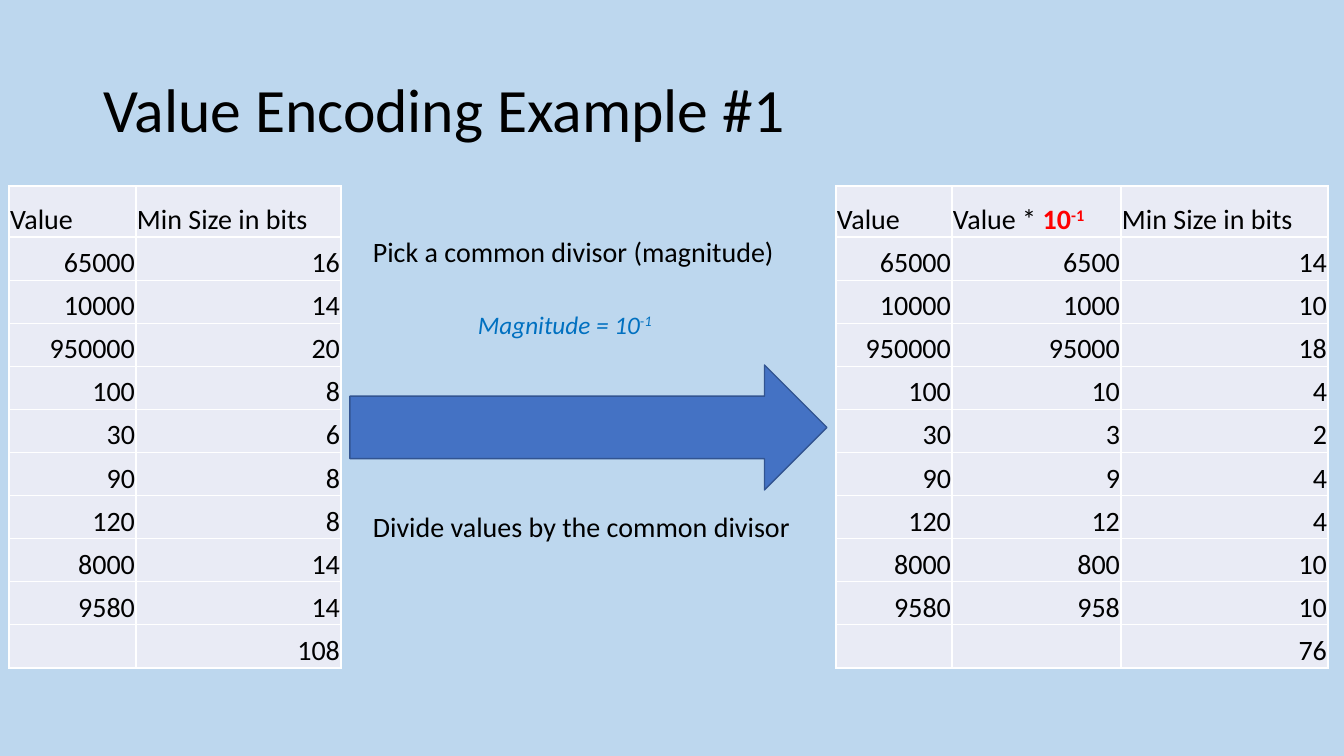
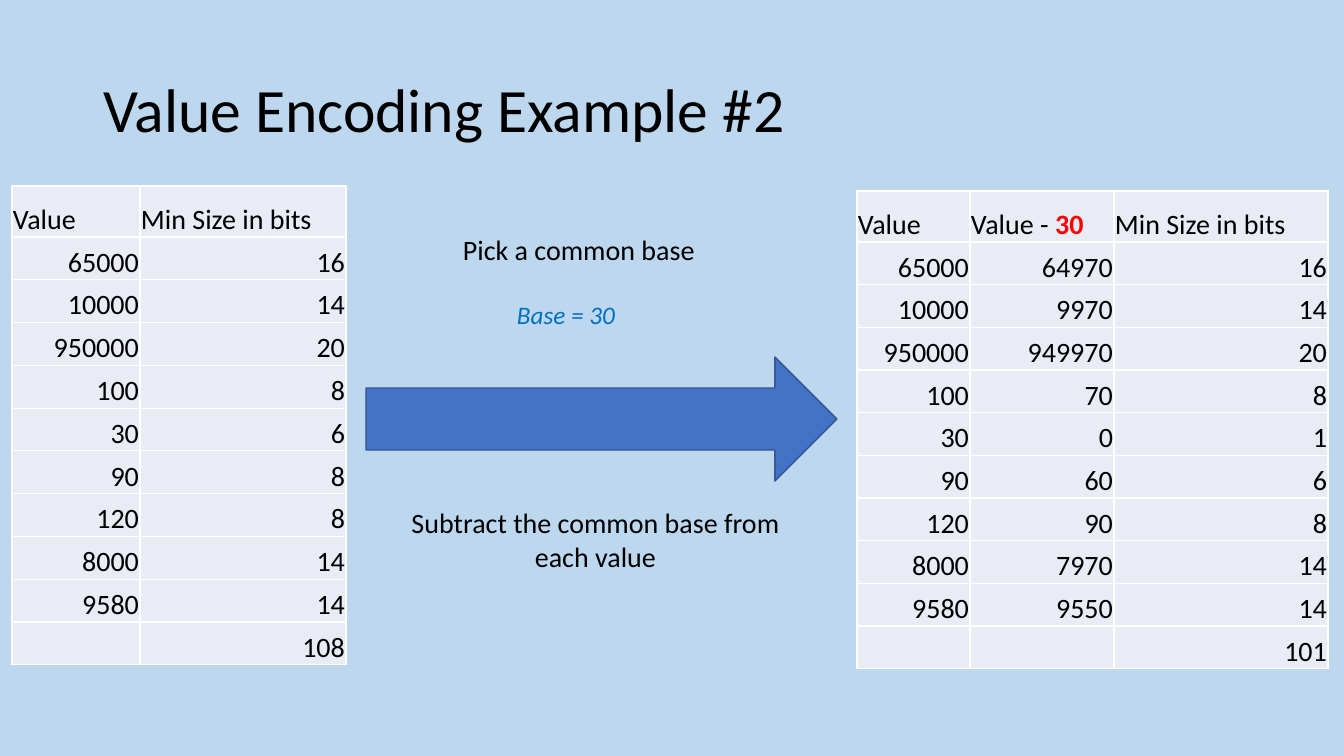
import dataclasses

import pptx
import pptx.dml.color
import pptx.enum.shapes
import pptx.enum.text
import pptx.oxml
import pptx.oxml.ns
import pptx.util

RGBColor = pptx.dml.color.RGBColor
Align = pptx.enum.text.PP_ALIGN
Anchor = pptx.enum.text.MSO_ANCHOR

BACKGROUND = RGBColor(0xBD, 0xD7, 0xEE)
CELL_FILL = RGBColor(0xE9, 0xEB, 0xF5)
ARROW_FILL = RGBColor(0x44, 0x72, 0xC4)
ARROW_LINE = RGBColor(0x32, 0x54, 0x91)
BLACK = RGBColor(0x00, 0x00, 0x00)
RED = RGBColor(0xFF, 0x00, 0x00)
BLUE = RGBColor(0x00, 0x70, 0xC0)
WHITE = RGBColor(0xFF, 0xFF, 0xFF)

FONT = "Calibri"
PX_PER_INCH = 100.8
SLIDE_SIZE = (1344, 756)
TITLE_BOX = (93, 40, 1159, 146)
HEADER_HEIGHT = 51
TITLE_ONLY_LAYOUT = 5

VALUES = [65000, 10000, 950000, 100, 30, 90, 120, 8000, 9580]
PLAIN_BITS = [16, 14, 20, 8, 6, 8, 8, 14, 14]


@dataclasses.dataclass
class Span:
    text: str
    key: bool = False
    raised: bool = False


@dataclasses.dataclass
class Example:
    """One slide: text lines are lists of spans, boxes are in px."""
    title: str
    plain_box: tuple
    plain_columns: list
    encoded_box: tuple
    encoded_columns: list
    encoded_header: list
    encoded_values: list
    encoded_bits: list
    arrow_box: tuple
    choice: str
    choice_box: tuple
    setting: list
    setting_box: tuple
    action: list
    action_box: tuple
    action_align: Align = Align.LEFT


EXAMPLES = [
    Example(
        title="Value Encoding Example #1",
        plain_box=(9, 186, 332, 482),
        plain_columns=[127, 205],
        encoded_box=(836, 186, 492, 482),
        encoded_columns=[116, 169, 207],
        encoded_header=[Span("Value * "), Span("10", key=True),
                        Span("-1", key=True, raised=True)],
        encoded_values=[value // 10 for value in VALUES],
        encoded_bits=[14, 10, 18, 4, 2, 4, 4, 10, 10],
        arrow_box=(350, 365, 477, 125),
        choice="Pick a common divisor (magnitude)",
        choice_box=(363, 230, 496, 44),
        setting=[Span("Magnitude = 10"), Span("-1", raised=True)],
        setting_box=(468, 304, 205, 40),
        action=["Divide values by the common divisor"],
        action_box=(363, 505, 510, 44),
    ),
    Example(
        title="Value Encoding Example #2",
        plain_box=(12, 186, 334, 479),
        plain_columns=[128, 206],
        encoded_box=(857, 191, 471, 478),
        encoded_columns=[113, 144, 214],
        encoded_header=[Span("Value - "), Span("30", key=True)],
        encoded_values=[value - 30 for value in VALUES],
        encoded_bits=[16, 14, 20, 8, 1, 6, 8, 14, 14],
        arrow_box=(366, 357, 471, 124),
        choice="Pick a common base",
        choice_box=(453, 228, 299, 44),
        setting=[Span("Base = 30")],
        setting_box=(507, 294, 119, 40),
        action=["Subtract the common base from", "each value"],
        action_box=(366, 501, 459, 78),
        action_align=Align.CENTER,
    ),
]


def px(length):
    return pptx.util.Emu(round(length * 914400 / PX_PER_INCH))


def scale(box):
    return [px(length) for length in box]


def write(para, spans, size=20, color=BLACK, italic=None, align=Align.LEFT):
    para.alignment = align
    para.font.name = FONT
    para.font.size = pptx.util.Pt(size)
    para.font.color.rgb = color
    para.font.italic = italic
    for span in spans:
        run = para.add_run()
        run.text = span.text
        if span.key:
            run.font.bold = True
            run.font.color.rgb = RED
        if span.raised:
            run.font._element.set("baseline", "30000")


def add_title(page, text):
    title = page.shapes.title
    title.left, title.top, title.width, title.height = scale(TITLE_BOX)
    title.text_frame.vertical_anchor = Anchor.MIDDLE
    para = title.text_frame.paragraphs[0]
    para.line_spacing = 0.9
    write(para, [Span(text)], size=44)


def add_text(page, box, lines, wrap=True, **style):
    frame = page.shapes.add_textbox(*scale(box)).text_frame
    frame.word_wrap = wrap
    frame.auto_size = pptx.enum.text.MSO_AUTO_SIZE.SHAPE_TO_FIT_TEXT
    for index, spans in enumerate(lines):
        para = frame.add_paragraph() if index else frame.paragraphs[0]
        write(para, spans, **style)


def add_arrow(page, box):
    arrow = page.shapes.add_shape(
        pptx.enum.shapes.MSO_SHAPE.RIGHT_ARROW, *scale(box))
    arrow.shadow.inherit = False
    arrow.fill.solid()
    arrow.fill.fore_color.rgb = ARROW_FILL
    arrow.line.color.rgb = ARROW_LINE
    arrow.line.width = pptx.util.Pt(1)


def add_borders(cell):
    properties = cell._tc.get_or_add_tcPr()
    for side in ("lnL", "lnR", "lnT", "lnB"):
        properties.append(pptx.oxml.parse_xml(
            f'<a:{side} {pptx.oxml.ns.nsdecls("a")} w="12700"><a:solidFill>'
            f'<a:srgbClr val="{WHITE}"/></a:solidFill></a:{side}>'))


def format_cell(cell):
    cell.margin_left = cell.margin_right = cell.margin_top = px(1)
    cell.margin_bottom = 0
    cell.vertical_anchor = Anchor.BOTTOM
    add_borders(cell)
    cell.fill.solid()
    cell.fill.fore_color.rgb = CELL_FILL


def add_bits_table(page, box, widths, headers, columns):
    """Place number columns under their headers, with a total of the last."""
    totals = [""] * (len(columns) - 1) + [sum(columns[-1])]
    body = [*zip(*columns), totals]
    table = page.shapes.add_table(
        len(body) + 1, len(columns), *scale(box)).table
    table.first_row = table.horz_banding = False
    for column, width in zip(table.columns, widths):
        column.width = px(width)
    row_height = (box[3] - HEADER_HEIGHT) / len(body)
    for index, row in enumerate(table.rows):
        row.height = px(row_height if index else HEADER_HEIGHT)
    rows = [headers] + [[[Span(str(item))] for item in line] for line in body]
    for row_index, line in enumerate(rows):
        for column_index, spans in enumerate(line):
            cell = table.cell(row_index, column_index)
            format_cell(cell)
            write(cell.text_frame.paragraphs[0], spans,
                  align=Align.RIGHT if row_index else Align.LEFT)


def add_example(deck, example):
    page = deck.slides.add_slide(deck.slide_layouts[TITLE_ONLY_LAYOUT])
    value_header, bits_header = [Span("Value")], [Span("Min Size in bits")]
    add_title(page, example.title)
    add_arrow(page, example.arrow_box)
    add_text(page, example.choice_box, [[Span(example.choice)]])
    add_bits_table(page, example.plain_box, example.plain_columns,
                   [value_header, bits_header], [VALUES, PLAIN_BITS])
    add_bits_table(page, example.encoded_box, example.encoded_columns,
                   [value_header, example.encoded_header, bits_header],
                   [VALUES, example.encoded_values, example.encoded_bits])
    add_text(page, example.action_box,
             [[Span(line)] for line in example.action],
             align=example.action_align)
    add_text(page, example.setting_box, [example.setting],
             wrap=False, size=18, color=BLUE, italic=True)


def main():
    deck = pptx.Presentation()
    deck.slide_width, deck.slide_height = scale(SLIDE_SIZE)
    background = deck.slide_master.background.fill
    background.solid()
    background.fore_color.rgb = BACKGROUND
    for example in EXAMPLES:
        add_example(deck, example)
    deck.save("out.pptx")


if __name__ == "__main__":
    main()
